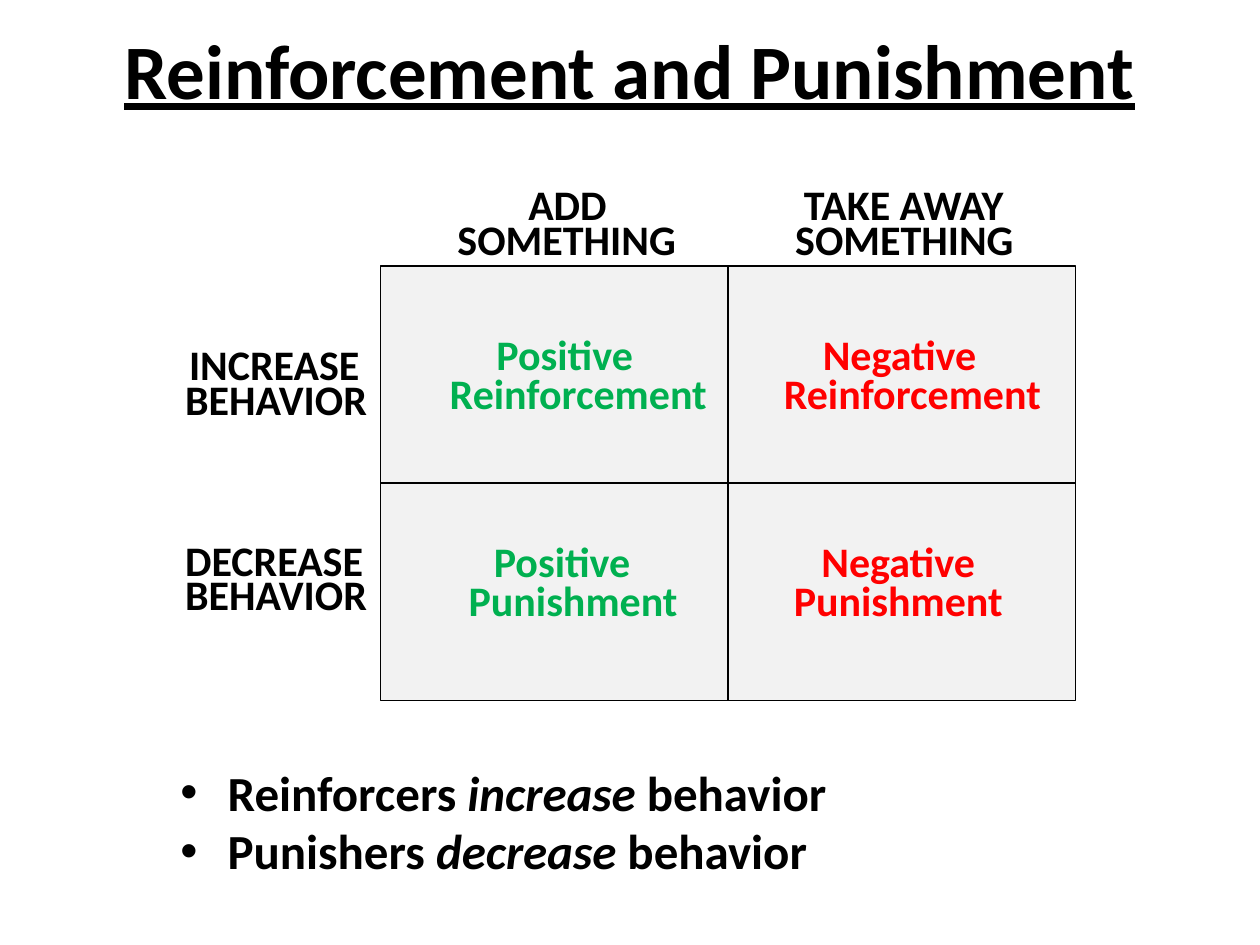
from lxml.etree import SubElement
from pptx import Presentation
from pptx.dml.color import RGBColor
from pptx.enum.shapes import MSO_CONNECTOR, MSO_SHAPE
from pptx.enum.text import MSO_ANCHOR, PP_ALIGN
from pptx.oxml.ns import qn
from pptx.util import Pt

BLACK = RGBColor(0x00, 0x00, 0x00)
GRAY = RGBColor(0xF2, 0xF2, 0xF2)
GREEN = RGBColor(0x00, 0xB0, 0x50)
RED = RGBColor(0xFF, 0x00, 0x00)
FONT = "Calibri"

LINE_H = 29
HEADING_PITCH = 19.6
CELL_PITCH = 22.3
WORD_WIDTHS = {
    "ADD": 45, "TAKE AWAY": 116, "SOMETHING": 126,
    "INCREASE": 98.5, "DECREASE": 103, "BEHAVIOR": 105,
    "Positive": 84.5, "Negative": 88.5,
    "Reinforcement": 148.5, "Punishment": 121,
}

# Each label: top, then (word, left) for its lines, relative to the grid.
HEADINGS = [
    (-49.7, [("ADD", 84.5), ("SOMETHING", 44)]),
    (-49.7, [("TAKE AWAY", 242), ("SOMETHING", 237)]),
    (41.8, [("INCREASE", -109.4), ("BEHAVIOR", -111.6)]),
    (153.4, [("DECREASE", -111.6), ("BEHAVIOR", -111.6)]),
]
CELLS = [
    (36, GREEN, [("Positive", 66.3), ("Reinforcement", 39.6)]),
    (36, RED, [("Negative", 252.8), ("Reinforcement", 230.5)]),
    (154, GREEN, [("Positive", 64.8), ("Punishment", 50.4)]),
    (154, RED, [("Negative", 252), ("Punishment", 236.2)]),
]
POINTS = [("Reinforcers ", "increase"), ("Punishers ", "decrease")]


def add_text_frame(slide, x, y, w, h):
    return slide.shapes.add_textbox(Pt(x), Pt(y), Pt(w), Pt(h)).text_frame


def add_run(p, text, size, color=BLACK, italic=False):
    r = p.add_run()
    r.text = text
    r.font.name = FONT
    r.font.size = Pt(size)
    r.font.bold = True
    r.font.italic = italic
    r.font.color.rgb = color
    return r


def add_title(slide, x, y, w, h):
    tf = add_text_frame(slide, x, y, w, h)
    tf.word_wrap = True
    tf.vertical_anchor = MSO_ANCHOR.MIDDLE
    p = tf.paragraphs[0]
    p.alignment = PP_ALIGN.CENTER
    add_run(p, "Reinforcement and Punishment", 44).font.underline = True


def add_label(slide, x, y, lines, pitch, color=BLACK):
    """Place each word on its own line, `pitch` points apart."""
    for i, (word, left) in enumerate(lines):
        tf = add_text_frame(slide, x + left, y + i * pitch,
                            WORD_WIDTHS[word], LINE_H)
        tf.word_wrap = False
        tf.margin_left = tf.margin_right = tf.margin_top = tf.margin_bottom = 0
        add_run(tf.paragraphs[0], word, 24, color)


def add_divider(slide, frame, begin, end):
    """Join the middles of two opposite sides of the frame."""
    line = slide.shapes.add_connector(MSO_CONNECTOR.STRAIGHT, 0, 0, 0, 0)
    line.begin_connect(frame, begin)
    line.end_connect(frame, end)
    line.line.color.rgb = BLACK
    line.line.width = Pt(1)
    SubElement(line._element.spPr, qn("a:effectLst"))


def add_grid(slide, x, y, w, h):
    frame = slide.shapes.add_shape(MSO_SHAPE.RECTANGLE,
                                   Pt(x), Pt(y), Pt(w), Pt(h))
    frame.shadow.inherit = False
    frame.fill.solid()
    frame.fill.fore_color.rgb = GRAY
    frame.line.color.rgb = BLACK
    frame.line.width = Pt(1)
    add_divider(slide, frame, 0, 2)
    add_divider(slide, frame, 1, 3)

    for top, lines in HEADINGS:
        add_label(slide, x, y + top, lines, HEADING_PITCH)
    for top, color, lines in CELLS:
        add_label(slide, x, y + top, lines, CELL_PITCH, color)


def add_bullets(slide, x, y, w, h):
    tf = add_text_frame(slide, x, y, w, h)
    tf.word_wrap = True
    for i, (subject, verb) in enumerate(POINTS):
        p = tf.add_paragraph() if i else tf.paragraphs[0]
        pPr = p._p.get_or_add_pPr()
        pPr.set("marL", str(Pt(27)))
        pPr.set("indent", str(Pt(-27)))
        SubElement(pPr, qn("a:buFont")).set("typeface", "Arial")
        SubElement(pPr, qn("a:buChar")).set("char", "•")
        add_run(p, subject, 28)
        add_run(p, verb, 28, italic=True)
        add_run(p, " behavior", 28)


def main():
    prs = Presentation()
    prs.slide_width, prs.slide_height = Pt(720), Pt(540)
    slide = prs.slides.add_slide(prs.slide_layouts[6])
    add_title(slide, 36, -6, 648, 90)
    add_grid(slide, 217.4, 151.9, 397.2, 248.4)
    add_bullets(slide, 96, 432, 398, 75)
    prs.save("out.pptx")


if __name__ == "__main__":
    main()
